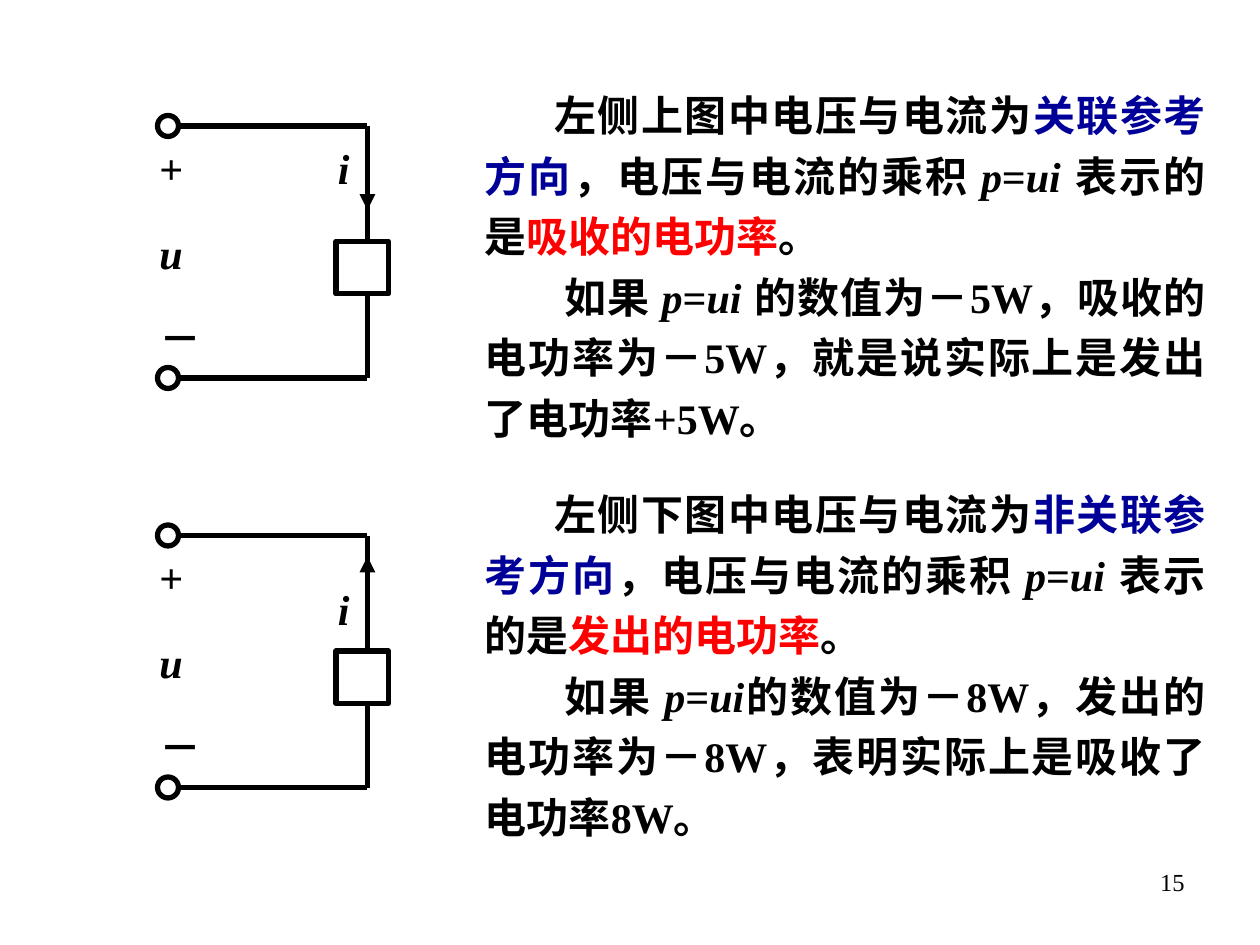
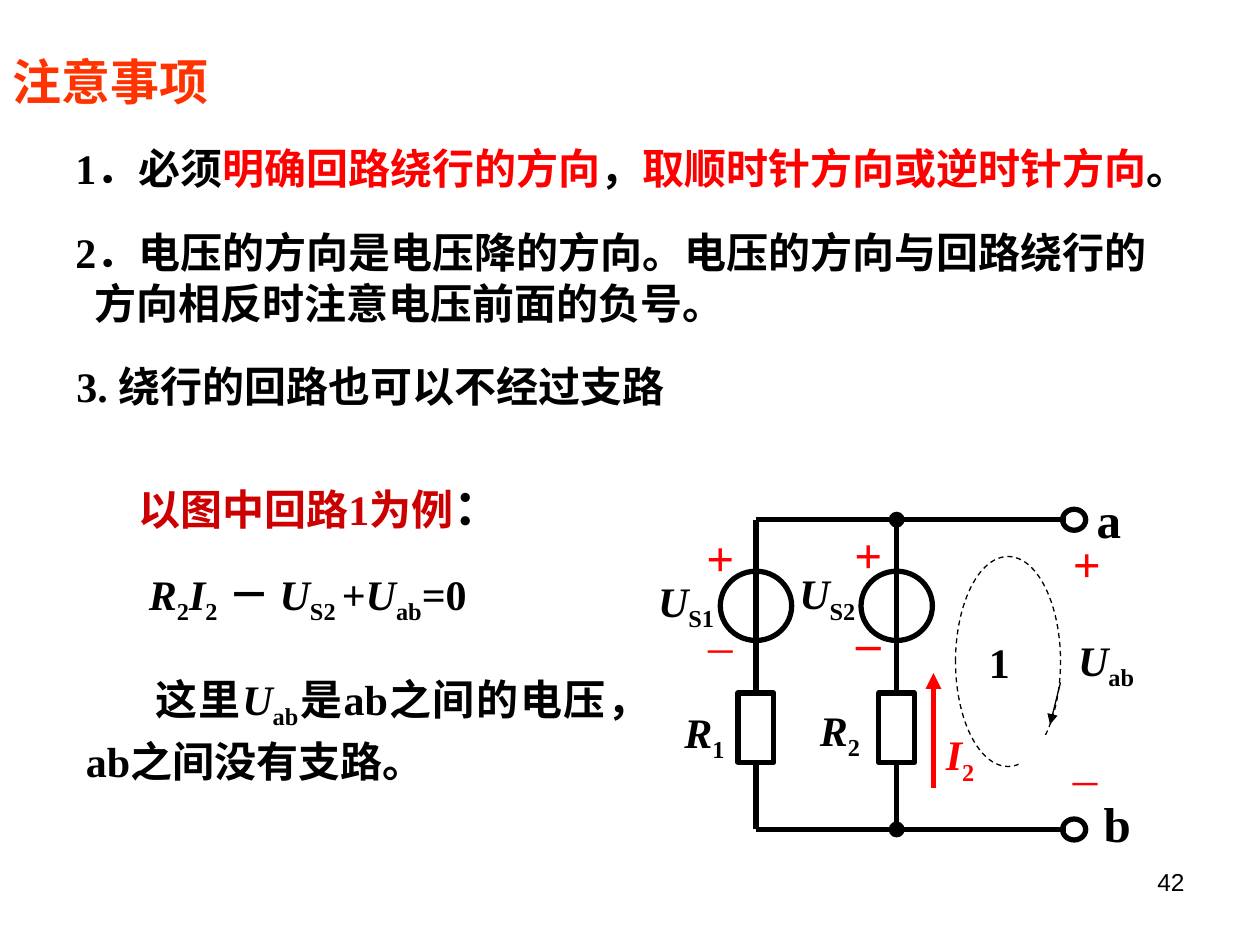
import pptx
import pptx.dml.color
import pptx.enum.dml
import pptx.enum.shapes
import pptx.enum.text
import pptx.oxml
import pptx.oxml.ns
import pptx.util

BLACK, WHITE, RED, NAVY = "000000", "FFFFFF", "FF0000", "000099"
ITALIC, SUB = dict(italic=True), dict(sub=True)
ALIGN = pptx.enum.text.PP_ALIGN
SHAPE = pptx.enum.shapes.MSO_SHAPE
colour_of = pptx.dml.color.RGBColor.from_string

deck = pptx.Presentation()
deck.slide_width, deck.slide_height = pptx.util.Inches(10), pptx.util.Inches(7.5)
CELL = deck.slide_width // 120  # the slide is 120 columns by 90 rows


def write(page, at, *paragraphs, size=24, colour=BLACK, bold=True, italic=False,
          font="Times New Roman", align=ALIGN.LEFT, spacing=None, before=0,
          indents=(), margin=0, middle=False, wrap=True):
    """Add a text box; a paragraph is a list of strings or (string, format) pairs."""
    box = page.shapes.add_textbox(*(round(n * CELL) for n in at))
    frame = box.text_frame
    frame.word_wrap = wrap
    if middle:
        frame.vertical_anchor = pptx.enum.text.MSO_ANCHOR.MIDDLE
    for index, spans in enumerate(paragraphs):
        para = frame.add_paragraph() if index else frame.paragraphs[0]
        para.alignment = align
        if spacing:
            para.line_spacing = spacing
        if index:
            para.space_before = pptx.util.Pt(before)
        if indents:
            properties = para._p.get_or_add_pPr()
            properties.set("marL", str(round(margin * CELL)))
            properties.set("indent", str(round(indents[index] * CELL)))
        for item in spans:
            text, own = (item, {}) if isinstance(item, str) else item
            span = para.add_run()
            span.text = text
            span.font.name = font
            span.font.size = pptx.util.Pt(own.get("size", size))
            span.font.bold = own.get("bold", bold)
            span.font.italic = own.get("italic", italic)
            span.font.color.rgb = colour_of(own.get("colour", colour))
            if own.get("sub"):
                span.font._element.set("baseline", "-25000")


def draw(page, kind, at, line=BLACK, width=3, fill=None, arrow=False, dash=False):
    """Draw a preset shape (left, top, width, height) or, with kind None, a line between two points."""
    place = [round(n * CELL) for n in at]
    if kind is None:
        item = page.shapes.add_connector(pptx.enum.shapes.MSO_CONNECTOR.STRAIGHT, *place)
    else:
        item = page.shapes.add_shape(kind, *place)
        item.shadow.inherit = False
        if fill:
            item.fill.solid()
            item.fill.fore_color.rgb = colour_of(fill)
        else:
            item.fill.background()
    if line:
        item.line.color.rgb = colour_of(line)
        item.line.width = pptx.util.Pt(width)
    else:
        item.line.fill.background()
    if dash:
        item.line.dash_style = pptx.enum.dml.MSO_LINE.DASH
    if arrow:
        head = pptx.oxml.parse_xml(f'<a:tailEnd {pptx.oxml.ns.nsdecls("a")} type="triangle"/>')
        item.line._get_or_add_ln().append(head)
    if kind is None:
        item._element.spPr.append(
            pptx.oxml.parse_xml(f'<a:effectLst {pptx.oxml.ns.nsdecls("a")}/>'))


pages = []
for number, font in (("15", "Times New Roman"), ("42", "Arial")):
    page = deck.slides.add_slide(deck.slide_layouts[6])
    write(page, (86, 82, 28, 6.2), [number], size=14, bold=False, font=font, align=ALIGN.RIGHT)
    pages.append(page)
power_page, loop_page = pages

# Reference directions: one circuit and one explanation per half of the slide
power_cases = [
    dict(top=12, arrow=(14, 20), label=13, text_top=7, side="上", direction="关联参考方向",
         result="吸收的电功率", end="的数值为－5W，吸收的电功率为－5W，就是说实际上是发出了电功率+5W。",
         product="ui "),
    dict(top=51, arrow=(59, 53), label=55, text_top=45, side="下", direction="非关联参考方向",
         result="发出的电功率", end="的数值为－8W，发出的电功率为－8W，表明实际上是吸收了电功率8W。",
         product="ui"),
]
for case in power_cases:
    top = case["top"]
    for wire in (top, top + 24):
        draw(power_page, None, (17, wire, 35, wire))
        draw(power_page, SHAPE.OVAL, (15, wire - 1, 2, 2), fill=WHITE)
    arrow_start, arrow_end = case["arrow"]
    draw(power_page, None, (35, arrow_start, 35, arrow_end), arrow=True)
    draw(power_page, None, (35, top, 35, top + 24))
    draw(power_page, SHAPE.RECTANGLE, (32, top + 11, 5, 5), fill=WHITE)
    write(power_page, (14, top, 8, 23.5), ["+"], [("u", ITALIC)], ["－"], spacing=1.2, before=14)
    write(power_page, (31, case["label"], 8, 6), ["i"], italic=True)
    write(power_page, (45, case["text_top"], 71, 36),
          [f"左侧{case['side']}图中电压与电流为", (case["direction"], dict(colour=NAVY)),
           "，电压与电流的乘积 ", ("p", ITALIC), "=", ("ui ", ITALIC), "表示的是",
           (case["result"], dict(colour=RED)), "。"],
          ["如果 ", ("p", ITALIC), "=", (case["product"], ITALIC), case["end"]],
          align=ALIGN.JUSTIFY, spacing=1.2, indents=(6.6, 7.6))

# Notes on loops
write(loop_page, (0, 4.3, 29, 6.8), ["注意事项"], size=28, colour="FF3300")
write(loop_page, (6, 13, 107, 6),
      ["1．必须", ("明确回路绕行的方向", dict(colour=RED)), "，",
       ("取顺时针方向或逆时针方向", dict(colour=RED)), "。"])
write(loop_page, (6, 21, 107, 11),
      ["2．电压的方向是电压降的方向。电压的方向与回路绕行的方向相反时注意电压前面的负号。"],
      margin=1.8, indents=(-1.8,))
write(loop_page, (6.1, 33.7, 72.7, 6), ["3. 绕行的回路也可以不经过支路"])
write(loop_page, (12, 44.8, 38, 6.8),
      ["以图中回路1为例", ("：", dict(size=28, colour=BLACK))], colour="CC0000", wrap=False)
write(loop_page, (12, 53, 41, 6.6),
      [("R", ITALIC), ("2", SUB), ("I", ITALIC), ("2", SUB), " － ", ("U", ITALIC),
       ("S2 ", SUB), "+", ("U", ITALIC), ("ab", SUB), "=0"], spacing=1.1, indents=(1,))
write(loop_page, (7, 63, 52, 12.6),
      ["这里", ("U", ITALIC), ("ab", SUB), "是ab之间的电压，ab之间没有支路。"],
      align=ALIGN.JUSTIFY, spacing=1.1, indents=(6.6,))

# Circuit: two branches between the rails of terminals a and b
RAIL_A, RAIL_B = 49.5, 79
branches = [
    dict(x=72, number="1", source=(60.2, 54.5, 10.3, 6), resistor=(63.1, 67, 8, 6),
         signs=(65.2, 49.6, 6.8, 15.2), bold=False),
    dict(x=85.4, number="2", source=(73.2, 53.8, 11.2, 6), resistor=(75.8, 66.8, 8.4, 6),
         signs=(79.3, 49.3, 6.8, 15.2), bold=True),
]
for branch in branches:
    x, number = branch["x"], branch["number"]
    draw(loop_page, SHAPE.OVAL, (x - 3.4, 54.4, 6.8, 6.6))
    draw(loop_page, None, (x, RAIL_A, x, 66))
    draw(loop_page, SHAPE.RECTANGLE, (x - 1.7, 66, 3.4, 6.6))
    draw(loop_page, None, (x, 72.6, x, RAIL_B))
    for name, index, part in (("U", "S" + number, "source"), ("R", number, "resistor")):
        write(loop_page, branch[part], [(name, ITALIC), (index, SUB)],
              align=ALIGN.CENTER, middle=True)
    write(loop_page, branch["signs"], ["+"], [("–", dict(bold=branch["bold"]))],
          size=28, colour=RED, align=ALIGN.CENTER, middle=True, before=16)

for rail, terminal, label in ((RAIL_A, "a", (103.2, 46, 4.8, 6.8)),
                              (RAIL_B, "b", (103.9, 75, 5, 6.8))):
    draw(loop_page, None, (72, rail, 101.5, rail))
    draw(loop_page, SHAPE.OVAL, (101.2, rail - 1, 2.2, 2))
    draw(loop_page, SHAPE.OVAL, (84.7, rail - 0.7, 1.4, 1.4), width=0.75, fill=BLACK)
    write(loop_page, label, [terminal], size=28, align=ALIGN.CENTER, middle=True, wrap=False)

write(loop_page, (101, 50.2, 5.6, 6.8), ["+"], size=28, colour=RED)
write(loop_page, (101, 69, 6.7, 6.8), ["_"], size=28, colour=RED, bold=False)
write(loop_page, (101.5, 59.8, 12.6, 6), [("U", ITALIC), ("ab", SUB)])
write(loop_page, (88.9, 68.8, 7.7, 6), [("I", ITALIC), ("2", SUB)], colour=RED)
draw(loop_page, None, (88.9, 75, 88.9, 64.1), line=RED, arrow=True)

# Dashed loop 1, opened at the lower right
draw(loop_page, SHAPE.OVAL, (91, 53, 10, 20), width=0.75, dash=True)
draw(loop_page, SHAPE.RECTANGLE, (97, 70, 4, 4), line=None, fill=WHITE)
draw(loop_page, None, (101, 65, 100, 69), width=0.75, arrow=True)
write(loop_page, (93, 60, 4, 6), ["1"])

deck.save("out.pptx")
